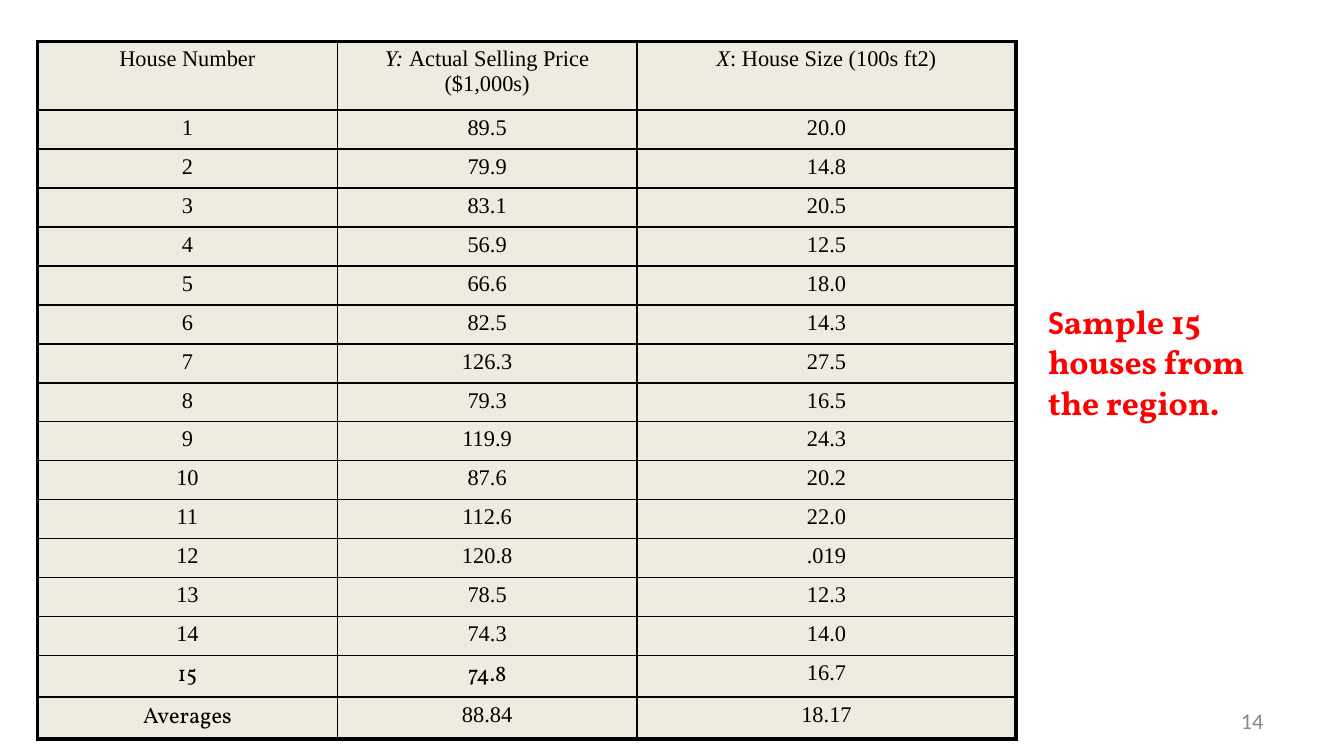
import pptx
import pptx.util
import pptx.dml.color
import pptx.enum.text
import pptx.oxml.ns
from lxml import etree

Inches, Pt = pptx.util.Inches, pptx.util.Pt
ALIGN, ANCHOR = pptx.enum.text.PP_ALIGN, pptx.enum.text.MSO_ANCHOR

COLORS = {"ink": "000000", "cell": "EEECE1", "note": "FF0000", "number": "888888"}
SERIF, DISPLAY, SANS = "Times New Roman", "Vollkorn", "Calibri"

# Header runs are (text, italic)
HEADER = [
    [("House Number", False)],
    [("Y: ", True), ("Actual Selling Price ($1,000s)", False)],
    [("X", True), (": House Size (100s ft2)", False)],
]
HOUSES = [
    ("89.5", "20.0"), ("79.9", "14.8"), ("83.1", "20.5"), ("56.9", "12.5"),
    ("66.6", "18.0"), ("82.5", "14.3"), ("126.3", "27.5"), ("79.3", "16.5"),
    ("119.9", "24.3"), ("87.6", "20.2"), ("112.6", "22.0"), ("120.8", ".019"),
    ("78.5", "12.3"), ("74.3", "14.0"), ("74.8", "16.7"),
]
AVERAGES = ("Averages", "88.84", "18.17")
DISPLAY_CELLS = {"15", "74.8", "Averages"}
NOTE = [("S", SANS), ("ample 15 houses from the region.", DISPLAY)]
SLIDE_NUMBER = "14"

SLIDE_WIDTH = 10
SLIDE_HEIGHT = SLIDE_WIDTH * 9 / 16
COL_WIDTHS = [2.23, 2.23, 2.82]
HEADER_HEIGHT, ROW_HEIGHT = 0.51, 0.29
OUTER, INNER = 2.25, 1


def add_run(p, text, font, size, color, **formats):
    r = p.add_run()
    r.text = text
    for name, value in {"name": font, "size": Pt(size), **formats}.items():
        setattr(r.font, name, value)
    r.font.color.rgb = pptx.dml.color.RGBColor.from_string(COLORS[color])


def set_margins(target, x, y):
    for side, value in {"left": x, "right": x, "top": y, "bottom": y}.items():
        setattr(target, f"margin_{side}", Inches(value))


def add_borders(cell, widths):
    tc_pr = cell._tc.get_or_add_tcPr()
    qn = pptx.oxml.ns.qn
    for side, width in widths.items():
        ln = etree.SubElement(tc_pr, qn(f"a:ln{side}"), w=str(Pt(width)))
        fill = etree.SubElement(ln, qn("a:solidFill"))
        etree.SubElement(fill, qn("a:srgbClr"), val=COLORS["ink"])


def add_text_box(s, left, top, width, height):
    tf = s.shapes.add_textbox(*map(Inches, (left, top, width, height))).text_frame
    tf.word_wrap = True
    set_margins(tf, 0.1, 0.05)
    return tf


def add_house_table(s):
    body = [(str(n), *values) for n, values in enumerate(HOUSES, 1)] + [AVERAGES]
    rows = [HEADER] + [[[(text, False)] for text in row] for row in body]
    heights = [HEADER_HEIGHT] + [ROW_HEIGHT] * len(body)
    last_row, last_col = len(rows) - 1, len(COL_WIDTHS) - 1
    frame = s.shapes.add_table(len(rows), len(COL_WIDTHS), Inches(0.28), Inches(0.31),
                               Inches(sum(COL_WIDTHS)), Inches(sum(heights)))
    table = frame.table
    table.first_row = table.horz_banding = False
    for col, width in zip(table.columns, COL_WIDTHS):
        col.width = Inches(width)
    for i, (row, height) in enumerate(zip(rows, heights)):
        table.rows[i].height = Inches(height)
        for j, runs in enumerate(row):
            cell = table.cell(i, j)
            set_margins(cell, 0.07, 0.04)
            edges = {"L": j == 0, "R": j == last_col, "T": i == 0, "B": i == last_row}
            add_borders(cell, {side: OUTER if edge else INNER
                               for side, edge in edges.items()})
            cell.fill.solid()
            cell.fill.fore_color.rgb = pptx.dml.color.RGBColor.from_string(COLORS["cell"])
            p = cell.text_frame.paragraphs[0]
            p.alignment = ALIGN.CENTER
            for text, italic in runs:
                font = DISPLAY if text in DISPLAY_CELLS else SERIF
                add_run(p, text, font, 12, "ink", italic=italic)


def main():
    prs = pptx.Presentation()
    prs.slide_width, prs.slide_height = Inches(SLIDE_WIDTH), Inches(SLIDE_HEIGHT)
    s = prs.slides.add_slide(prs.slide_layouts[6])

    add_house_table(s)

    tf = add_text_box(s, 7.7, 2.19, 2.04, 1.01)
    tf.auto_size = pptx.enum.text.MSO_AUTO_SIZE.SHAPE_TO_FIT_TEXT
    for text, font in NOTE:
        add_run(tf.paragraphs[0], text, font, 18, "note", bold=True)

    tf = add_text_box(s, 7.17, 5.21, 2.33, 0.3)
    tf.vertical_anchor = ANCHOR.MIDDLE
    tf.paragraphs[0].alignment = ALIGN.RIGHT
    add_run(tf.paragraphs[0], SLIDE_NUMBER, SANS, 12, "number")

    prs.save("out.pptx")


if __name__ == "__main__":
    main()
